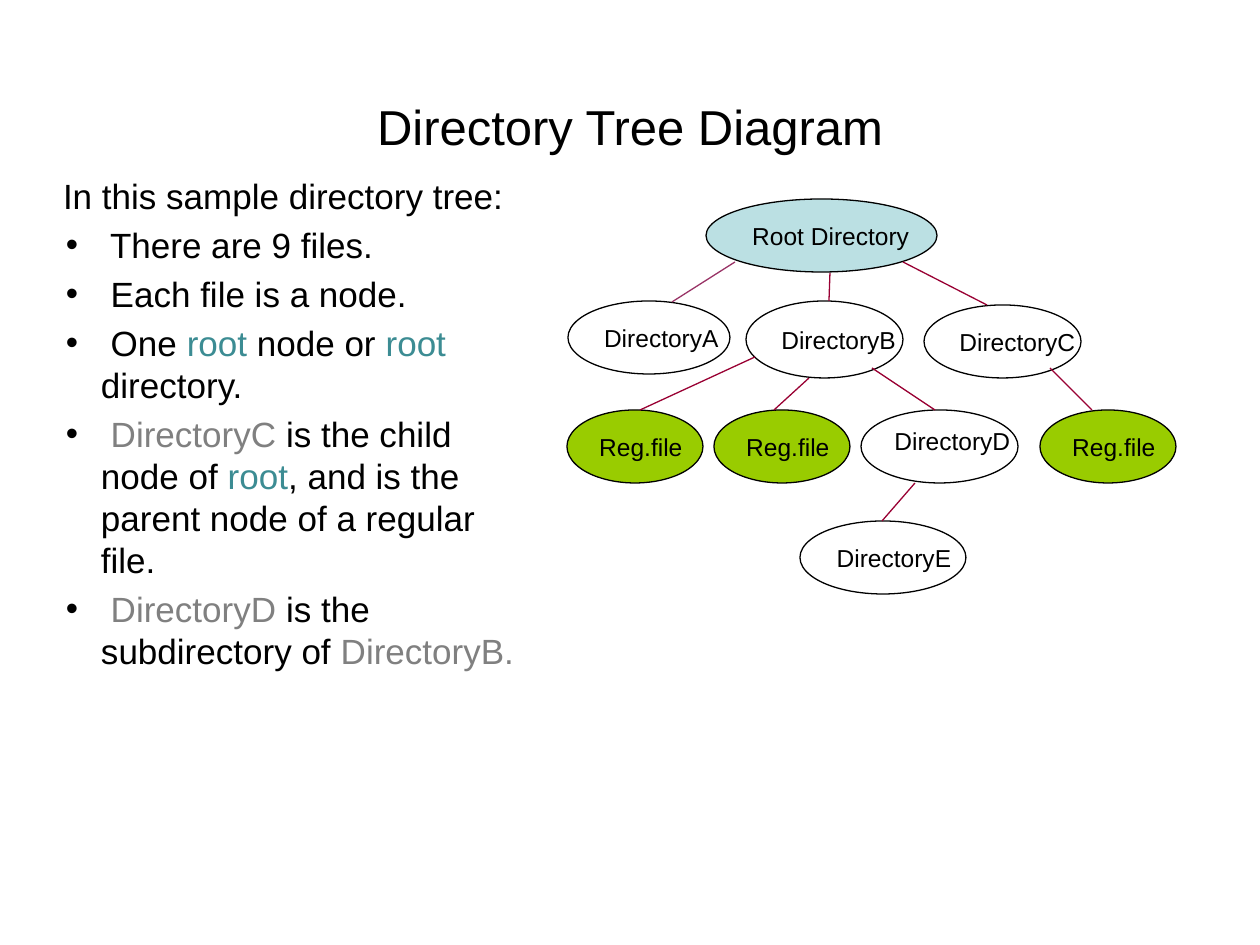
from dataclasses import dataclass
from typing import Optional

from lxml.etree import SubElement
from pptx import Presentation
from pptx.dml.color import RGBColor
from pptx.enum.shapes import MSO_CONNECTOR as Connector, MSO_SHAPE as Shape
from pptx.enum.text import MSO_ANCHOR as Anchor, PP_ALIGN as Align
from pptx.oxml.ns import qn
from pptx.util import Pt

PIXEL = 914400 / 126
FONT = "Arial"
BLACK = RGBColor(0x00, 0x00, 0x00)
WHITE = RGBColor(0xFF, 0xFF, 0xFF)
TEAL = RGBColor(0x3C, 0x8C, 0x93)
GRAY = RGBColor(0x80, 0x80, 0x80)
PALE_BLUE = RGBColor(0xBB, 0xE0, 0xE3)
GREEN = RGBColor(0x99, 0xCC, 0x00)
CRIMSON = RGBColor(0x99, 0x00, 0x33)
PLUM = RGBColor(0x99, 0x33, 0x66)


@dataclass(frozen=True)
class Node:
    """One file in the tree, drawn as an ellipse."""
    label: str
    left: int
    top: int
    width: int
    height: int = 73
    fill: Optional[RGBColor] = None


@dataclass(frozen=True)
class Edge:
    """One line from a parent to its child."""
    start: tuple[int, int]
    end: tuple[int, int]
    color: RGBColor = CRIMSON


@dataclass(frozen=True)
class Span:
    """A piece of text in one colour."""
    text: str
    color: RGBColor = BLACK


NODES = [
    Node("Root Directory", 706, 199, 231, fill=PALE_BLUE),
    Node("DirectoryA", 568, 301, 162),
    Node("DirectoryB", 746, 301, 157, 77),
    Node("DirectoryC", 924, 305, 157),
    Node("Reg.file", 567, 410, 136, fill=GREEN),
    Node("Reg.file", 714, 410, 136, fill=GREEN),
    Node("", 861, 410, 157),
    Node("Reg.file", 1040, 410, 136, fill=GREEN),
    Node("DirectoryE", 800, 521, 166, fill=WHITE),
]
EDGES = [
    Edge((735, 262), (672, 302), PLUM),
    Edge((830, 273), (829, 301)),
    Edge((903, 262), (987, 305)),
    Edge((755, 357), (640, 410)),
    Edge((809, 378), (774, 410)),
    Edge((872, 368), (935, 410)),
    Edge((1050, 368), (1092, 410)),
    Edge((915, 483), (882, 521)),
]
BULLETS = [
    [Span(" There are 9 files.")],
    [Span(" Each file is a node.")],
    [Span(" One "), Span("root", TEAL), Span(" node or "), Span("root", TEAL),
     Span(" directory.")],
    [Span(" "), Span("DirectoryC", GRAY), Span(" is the child node of "),
     Span("root", TEAL),
     Span(", and is the parent node of a regular file.")],
    [Span(" "), Span("DirectoryD", GRAY), Span(" is the subdirectory of "),
     Span("DirectoryB.", GRAY)],
]


def px(length: float) -> int:
    """Turn picture pixels into EMU."""
    return round(length * PIXEL)


def apply(target: object, values: dict) -> None:
    """Set every attribute named in values."""
    for name, value in values.items():
        setattr(target, name, value)


def write(para, spans: list[Span], size: int) -> None:
    """Fill a paragraph with coloured spans."""
    for span in spans:
        run = para.add_run()
        run.text = span.text
        apply(run.font, {"name": FONT, "size": Pt(size)})
        run.font.color.rgb = span.color


def add_box(page, left: int, top: int, width: int, height: int, **values):
    """Add a text box and return its text frame."""
    box = page.shapes.add_textbox(px(left), px(top), px(width), px(height))
    apply(box.text_frame, values)
    return box.text_frame


def add_bullet(para) -> None:
    """Give a paragraph a round bullet and a hanging indent."""
    properties = para._p.get_or_add_pPr()
    properties.set("marL", str(px(38)))
    properties.set("indent", str(px(-35)))
    SubElement(properties, qn("a:buFont")).set("typeface", FONT)
    SubElement(properties, qn("a:buChar")).set("char", "•")


def add_node(page, node: Node) -> None:
    """Draw a node with its label."""
    oval = page.shapes.add_shape(Shape.OVAL, px(node.left), px(node.top),
                                 px(node.width), px(node.height))
    oval.shadow.inherit = False
    if node.fill is None:
        oval.fill.background()
    else:
        oval.fill.solid()
        oval.fill.fore_color.rgb = node.fill
    oval.line.color.rgb = BLACK
    oval.line.width = Pt(0.75)
    if node.label:
        apply(oval.text_frame,
              {"word_wrap": False, "vertical_anchor": Anchor.MIDDLE})
        para = oval.text_frame.paragraphs[0]
        para.alignment = Align.LEFT
        write(para, [Span(node.label)], 14)


def add_edge(page, edge: Edge) -> None:
    """Draw a line between two nodes."""
    line = page.shapes.add_connector(
        Connector.STRAIGHT, *map(px, edge.start + edge.end))
    line.line.color.rgb = edge.color
    line.line.width = Pt(0.75)
    SubElement(line._element.spPr, qn("a:effectLst"))


def main() -> None:
    """Build the slide and save it."""
    deck = Presentation()
    apply(deck, {"slide_width": px(1260), "slide_height": px(945)})
    page = deck.slides.add_slide(deck.slide_layouts[6])

    title = add_box(page, 63, 84, 1134, 84, word_wrap=True,
                    vertical_anchor=Anchor.MIDDLE).paragraphs[0]
    title.alignment = Align.CENTER
    write(title, [Span("Directory Tree Diagram")], 28)

    body = add_box(page, 63, 168, 462, 624, word_wrap=True,
                   margin_left=0, margin_right=0)
    intro = body.paragraphs[0]
    intro.space_before = Pt(4)
    write(intro, [Span("In this sample directory tree:")], 20)
    for spans in BULLETS:
        para = body.add_paragraph()
        para.space_before = Pt(4)
        add_bullet(para)
        write(para, spans, 20)

    for node in NODES:
        add_node(page, node)
    for edge in EDGES:
        add_edge(page, edge)
    label = add_box(page, 882, 420, 142, 42, word_wrap=False)
    write(label.paragraphs[0], [Span("DirectoryD")], 14)

    deck.save("out.pptx")


main()
